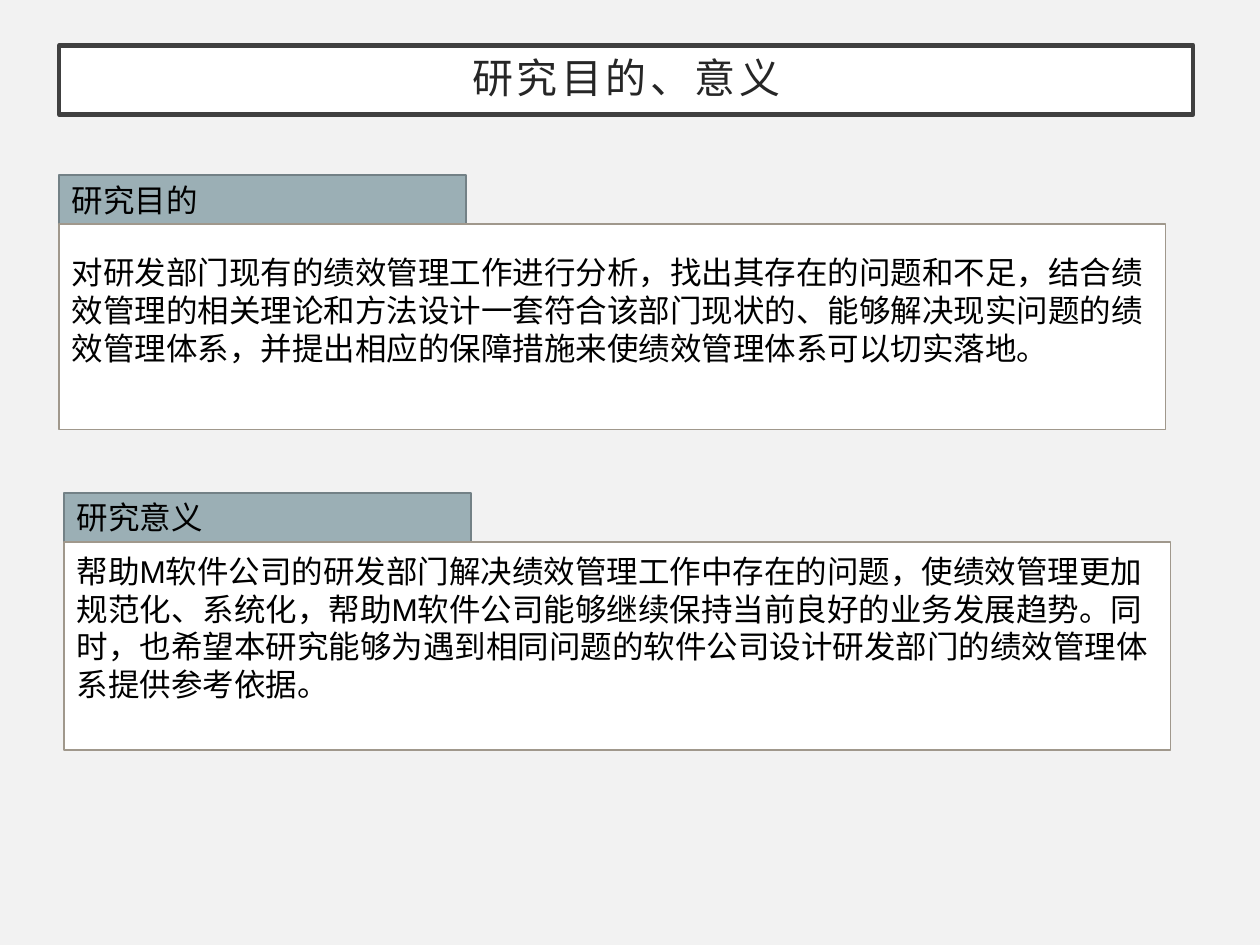
"""Build the slide on research purpose and significance."""
from pptx import Presentation
from pptx.dml.color import RGBColor as RGB
from pptx.enum.shapes import MSO_SHAPE as SHAPE
from pptx.enum.text import MSO_ANCHOR as ANCHOR, MSO_AUTO_SIZE as AUTO, PP_ALIGN as ALIGN
from pptx.util import Inches, Pt

COLORS = {
    "bg": "F2F2F2", "white": "FFFFFF", "frame": "404040", "title": "262626",
    "header": "9BAFB5", "header_line": "738186", "body_line": "A0988C", "text": "000000",
}
SECTIONS = [
    (0.47, 1.39, 1.63, 0.23, "研究目的",
     "对研发部门现有的绩效管理工作进行分析，找出其存在的问题和不足，结合绩效管理的相关理论和方法"
     "设计一套符合该部门现状的、能够解决现实问题的绩效管理体系，并提出相应的保障措施来使绩效管理体系可以切实落地。"),
    (0.51, 3.91, 1.65, 0.08, "研究意义",
     "帮助M软件公司的研发部门解决绩效管理工作中存在的问题，使绩效管理更加规范化、系统化，"
     "帮助M软件公司能够继续保持当前良好的业务发展趋势。同时，也希望本研究能够为遇到相同问题的"
     "软件公司设计研发部门的绩效管理体系提供参考依据。"),
]
HEADER_W, HEADER_H, BODY_W = 3.23, 0.39, 8.78


class Deck:
    """Hold the style and the current slide."""

    def __init__(self, prs):
        self.s = prs.slides.add_slide(prs.slide_layouts[5])
        fill = self.s.background.fill
        fill.solid()
        fill.fore_color.rgb = self.color("bg")

    def color(self, name):
        return RGB.from_string(COLORS[name])

    def paint(self, sp, fill, line, width):
        sp.fill.solid()
        sp.fill.fore_color.rgb = self.color(fill)
        sp.line.color.rgb = self.color(line)
        sp.line.width = Pt(width)

    def set_text(self, sp, text, font, size, color, align):
        p = sp.text_frame.paragraphs[0]
        p.text = text
        p.alignment = align
        p.font.name, p.font.size = font, Pt(size)
        p.font.color.rgb = self.color(color)
        return p

    def title(self, text, x, y, w, h):
        sp = self.s.shapes.title
        sp.left, sp.top, sp.width, sp.height = map(Inches, (x, y, w, h))
        self.paint(sp, "white", "frame", 2.5)
        tf = sp.text_frame
        tf.auto_size, tf.vertical_anchor = AUTO.NONE, ANCHOR.MIDDLE
        tf.margin_left = tf.margin_right = tf.margin_top = tf.margin_bottom = Inches(0.2)
        p = self.set_text(sp, text, "Noto Sans CJK SC", 23.4, "title", ALIGN.CENTER)
        p.line_spacing = 0.9
        p.runs[0]._r.get_or_add_rPr().set("spc", "200")

    def box(self, text, x, y, w, h, fill, line, font):
        sp = self.s.shapes.add_shape(SHAPE.RECTANGLE, *map(Inches, (x, y, w, h)))
        sp.shadow.inherit = False
        self.paint(sp, fill, line, 1)
        sp.text_frame.word_wrap = True
        sp.text_frame.vertical_anchor = ANCHOR.MIDDLE
        self.set_text(sp, text, font, 18, "text", ALIGN.LEFT)
        return sp

    def section(self, x, y, body_h, inset, heading, body):
        self.box(heading, x, y, HEADER_W, HEADER_H, "header", "header_line", "Calibri")
        sp = self.box(body, x, y + HEADER_H, BODY_W, body_h, "white", "body_line", "Arial")
        sp.text_frame.vertical_anchor = ANCHOR.TOP
        sp.text_frame.margin_top = Inches(inset)


def main():
    prs = Presentation()
    prs.slide_width, prs.slide_height = Inches(10), Inches(7.5)
    deck = Deck(prs)
    deck.title("研究目的、意义", 0.47, 0.36, 9, 0.55)
    for section in SECTIONS:
        deck.section(*section)
    prs.save("out.pptx")


if __name__ == "__main__":
    main()
